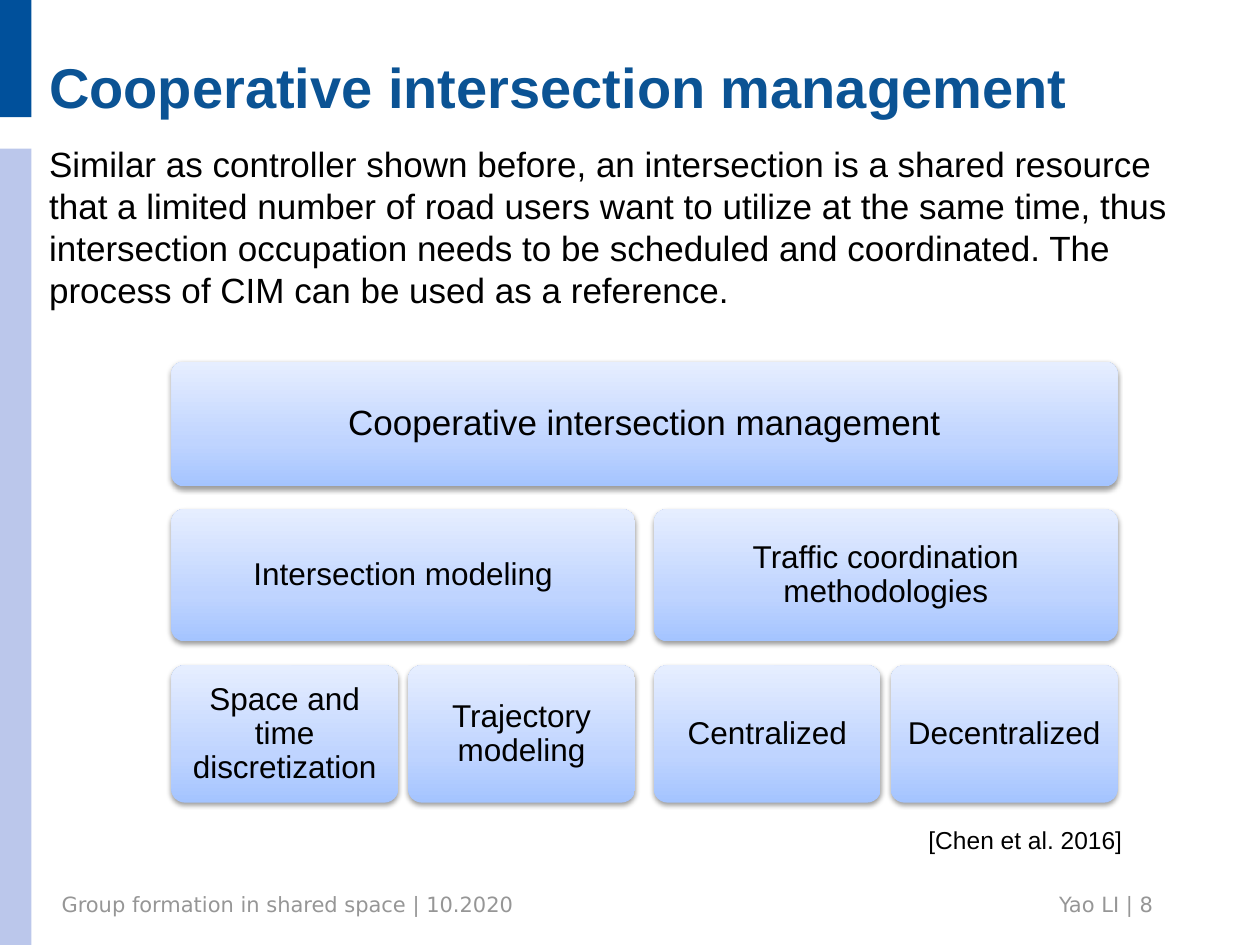
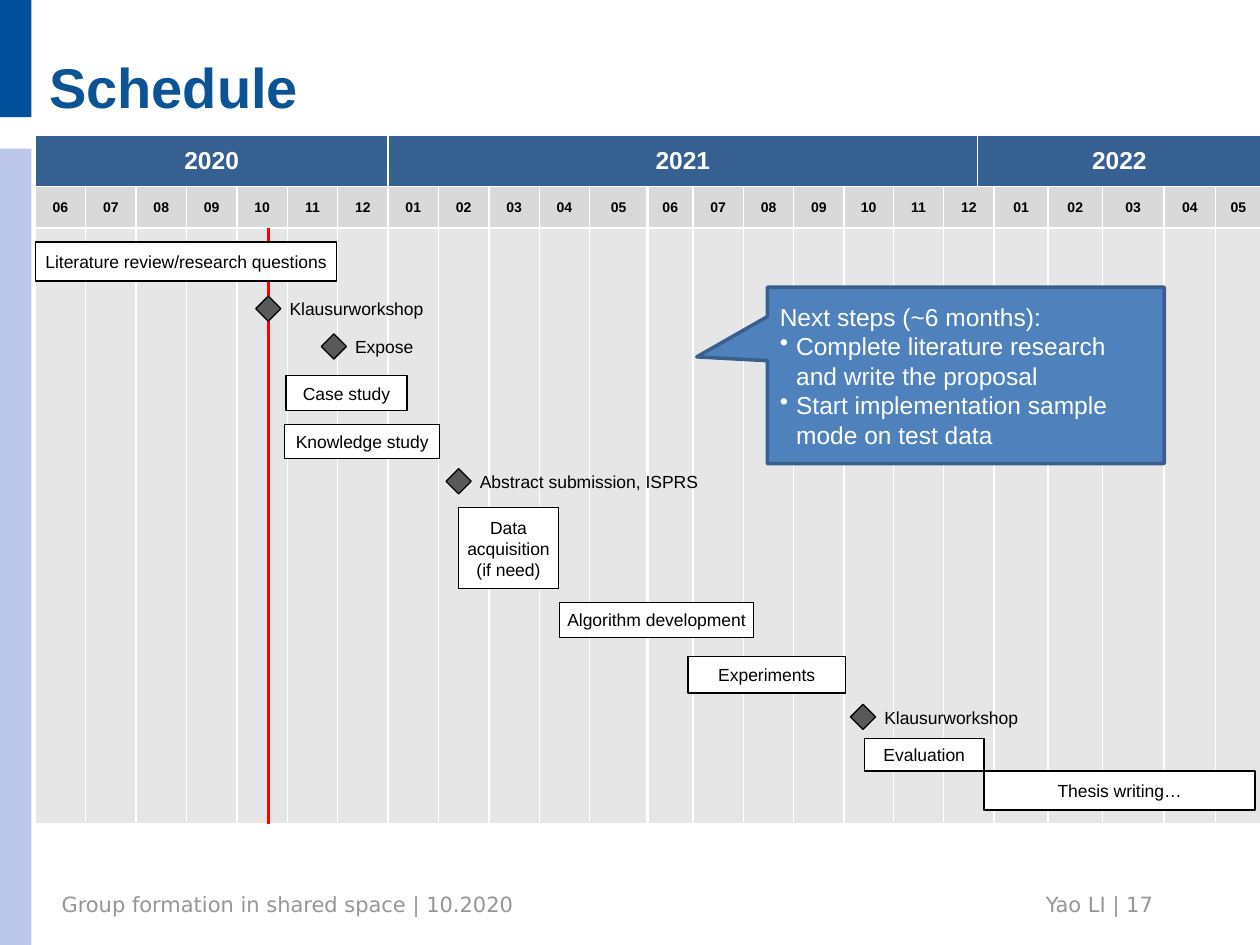
from copy import deepcopy
from dataclasses import dataclass
from itertools import accumulate
from typing import Any, NamedTuple

from lxml import etree
from pptx import Presentation
from pptx import util as u
from pptx.dml.color import RGBColor
from pptx.enum import shapes, text
from pptx.oxml import ns

SHAPE = shapes.MSO_SHAPE
ALIGN = text.PP_ALIGN
ANCHOR = text.MSO_ANCHOR


# Theme: colours, fonts and type sizes
@dataclass(frozen=True)
class Theme:
    font: str = "Arial"
    footer_font: str = "DejaVu Sans"
    title: str = "0B5394"
    ink: str = "000000"
    white: str = "FFFFFF"
    footer: str = "969696"
    band_dark: str = "00509B"
    band_light: str = "BBC7EB"
    box_stops: tuple = ((0, "A4C4FF"), (0.35, "BFD4FF"), (1, "E6EEFF"))
    year: str = "376092"
    month: str = "D9D9D9"
    grid: str = "E6E6E6"
    today: str = "FF0000"
    milestone: str = "595959"
    callout: str = "4F81BD"
    callout_line: str = "3A5F8C"
    title_pt: int = 32
    body_pt: int = 20
    box_pt: int = 18
    note_pt: int = 14
    footer_pt: int = 12
    task_pt: int = 10
    month_pt: int = 8


T = Theme()


class Area(NamedTuple):
    left: float
    top: float
    width: float
    height: float

    def emu(self) -> list[int]:
        return [u.Inches(v) for v in self]


class Node(NamedTuple):
    label: str
    area: Area
    size: int


class Task(NamedTuple):
    label: str
    area: Area


class Milestone(NamedTuple):
    label: str
    left: float
    top: float
    label_width: float


# Shared helpers
def rgb(value: str) -> RGBColor:
    return RGBColor.from_string(value)


def apply(target: Any, formats: dict[str, Any]) -> None:
    for name, value in formats.items():
        setattr(target, name, value)


def margins(x: float, y: float) -> dict[str, int]:
    return {"margin_left": u.Inches(x), "margin_right": u.Inches(x),
            "margin_top": u.Inches(y), "margin_bottom": u.Inches(y)}


def add_bullet(p: Any, indent: float) -> None:
    pPr = p._p.get_or_add_pPr()
    pPr.set("marL", str(u.Inches(indent)))
    pPr.set("indent", str(-u.Inches(indent)))
    etree.SubElement(pPr, ns.qn("a:buChar")).set("char", "•")


def write(tf: Any, words: str, size: int, color: str = T.ink, font: str = T.font,
          bold: bool = False, frame: dict | None = None, para: dict | None = None) -> None:
    apply(tf, {"word_wrap": True, **(frame or {})})
    p = tf.paragraphs[0]
    apply(p, para or {})
    r = p.add_run()
    r.text = words
    apply(r.font, {"name": font, "size": u.Pt(size), "bold": bold})
    r.font.color.rgb = rgb(color)


def add_text(s: Any, area: Area, words: str, size: int, **style: Any) -> None:
    write(s.shapes.add_textbox(*area.emu()).text_frame, words, size, **style)


def add_shape(s: Any, kind: Any, area: Area, fill: str | None = None,
              line: str | None = None, weight: float = 0.75) -> Any:
    sp = s.shapes.add_shape(kind, *area.emu())
    sp.shadow.inherit = False
    if fill:
        sp.fill.solid()
        sp.fill.fore_color.rgb = rgb(fill)
    if line:
        sp.line.color.rgb = rgb(line)
        sp.line.width = u.Pt(weight)
    else:
        sp.line.fill.background()
    return sp


def new_slide(prs: Any, title: str, number: int) -> Any:
    s = prs.slides.add_slide(prs.slide_layouts[5])
    # Side bands and footer
    add_shape(s, SHAPE.RECTANGLE, Area(0, 1.18, 0.25, 6.32), T.band_light)
    add_shape(s, SHAPE.RECTANGLE, Area(0, 0, 0.25, 0.93), T.band_dark)
    footer = {"size": T.footer_pt, "color": T.footer, "font": T.footer_font}
    add_text(s, Area(0.39, 7.03, 5.72, 0.32),
             "Group formation in shared space | 10.2020", **footer)
    add_text(s, Area(6.18, 7.03, 3.07, 0.32), f"Yao LI | {number}",
             para={"alignment": ALIGN.RIGHT}, **footer)
    # Title
    sp = s.shapes.title
    apply(sp, dict(zip(("left", "top", "width", "height"),
                       Area(0.39, -0.07, 9.26, 1.02).emu())))
    write(sp.text_frame, title, T.title_pt, T.title, bold=True,
          frame={"vertical_anchor": ANCHOR.BOTTOM,
                 "auto_size": text.MSO_AUTO_SIZE.NONE, **margins(0, 0)},
          para={"alignment": ALIGN.LEFT})
    return s


# Slide: hierarchy of cooperative intersection management
TREE_LEFT, LEAF_W, LEAF_GAP, BRANCH_GAP = 1.36, 1.8, 0.08, 0.15
BRANCH_W = 2 * LEAF_W + LEAF_GAP
TREE = {
    "Intersection modeling": ("Space and time discretization", "Trajectory modeling"),
    "Traffic coordination methodologies": ("Centralized", "Decentralized"),
}


def tree_nodes() -> list[Node]:
    nodes = [Node("Cooperative intersection management",
                  Area(TREE_LEFT, 2.87, 2 * BRANCH_W + BRANCH_GAP, 0.99), T.body_pt)]
    for i, (branch, leaves) in enumerate(TREE.items()):
        left = TREE_LEFT + i * (BRANCH_W + BRANCH_GAP)
        nodes.append(Node(branch, Area(left, 4.04, BRANCH_W, 1.05), T.box_pt))
        for j, leaf in enumerate(leaves):
            x = left + j * (LEAF_W + LEAF_GAP)
            nodes.append(Node(leaf, Area(x, 5.28, LEAF_W, 1.09), T.box_pt))
    return nodes


def add_node(s: Any, node: Node) -> None:
    sp = add_shape(s, SHAPE.ROUNDED_RECTANGLE, node.area)
    sp.adjustments[0] = 0.1
    # Three-stop gradient, running upwards
    sp.fill.gradient()
    sp.fill.gradient_angle = 90
    stops = sp._element.spPr.find(".//" + ns.qn("a:gsLst"))
    stops.append(deepcopy(stops[0]))
    for stop, (position, color) in zip(sp.fill.gradient_stops, T.box_stops):
        stop.position = position
        stop.color.rgb = rgb(color)
    # Soft shadow below
    effects = sp._element.spPr.find(ns.qn("a:effectLst"))
    shadow = etree.SubElement(effects, ns.qn("a:outerShdw"), blurRad=str(u.Pt(3.1)),
                              dist=str(u.Pt(1.6)), dir="5400000", rotWithShape="0")
    color = etree.SubElement(shadow, ns.qn("a:srgbClr"), val=T.ink)
    etree.SubElement(color, ns.qn("a:alpha"), val="38000")
    write(sp.text_frame, node.label, node.size,
          frame={"vertical_anchor": ANCHOR.MIDDLE, **margins(0.1, 0.1)},
          para={"alignment": ALIGN.CENTER, "line_spacing": 0.9})


def management_slide(prs: Any) -> None:
    s = new_slide(prs, "Cooperative intersection management", 8)
    add_text(s, Area(0.39, 1.13, 9.26, 1.72),
             "Similar as controller shown before, an intersection is a shared resource "
             "that a limited number of road users want to utilize at the same time, thus "
             "intersection occupation needs to be scheduled and coordinated. The process "
             "of CIM can be used as a reference.", T.body_pt, frame=margins(0, 0))
    for node in tree_nodes():
        add_node(s, node)
    add_text(s, Area(7.27, 6.5, 1.75, 0.34), "[Chen et al. 2016]", T.note_pt,
             frame={"word_wrap": False})


# Slide: schedule
COLS = [0.4] * 11 + [0.46, 0.36] + [0.4] * 3 + [0.39, 0.4, 0.27, 0.13,
                                                0.43, 0.43, 0.49, 0.41, 0.36]
ROWS = [0.41, 0.33, 4.73]
YEAR_SPANS = {"2020": 7, "2021": 12, "2022": 6}
MONTH_SPANS = [2 if i == 18 else 1 for i in range(24)]  # 12/2021 covers two columns
MONTHS = [f"{(5 + i) % 12 + 1:02d}" for i in range(24)]
HEAVY_EDGES = {(0, 7), (1, 12), (2, 12)}  # row, column edge
TASKS = [
    Task("Literature review/research questions", Area(0.28, 1.92, 2.39, 0.31)),
    Task("Case study", Area(2.27, 2.98, 0.96, 0.28)),
    Task("Knowledge study", Area(2.26, 3.37, 1.23, 0.27)),
    Task("Data acquisition (if need)", Area(3.64, 4.03, 0.79, 0.64)),
    Task("Algorithm development", Area(4.44, 4.78, 1.54, 0.28)),
    Task("Experiments", Area(5.46, 5.21, 1.25, 0.29)),
    Task("Evaluation", Area(6.86, 5.86, 0.95, 0.26)),
    Task("Thesis writing…", Area(7.81, 6.12, 2.15, 0.31)),
]
MILESTONES = [
    Milestone("Klausurworkshop", 2.03, 2.35, 1.27),
    Milestone("Expose", 2.55, 2.65, 0.67),
    Milestone("Abstract submission, ISPRS", 3.54, 3.72, 1.95),
    Milestone("Klausurworkshop", 6.75, 5.59, 1.27),
]
NEXT_STEPS = ["Next steps (~6 months):",
              "Complete literature research and write the proposal",
              "Start implementation sample mode on test data"]


def add_borders(cell: Any, widths: dict[str, float]) -> None:
    tcPr = cell._tc.get_or_add_tcPr()
    for i, (side, width) in enumerate(widths.items()):
        ln = etree.Element(ns.qn(f"a:ln{side}"), w=str(u.Pt(width)))
        fill = etree.SubElement(ln, ns.qn("a:solidFill"))
        etree.SubElement(fill, ns.qn("a:srgbClr"), val=T.white)
        tcPr.insert(i, ln)


def add_calendar(s: Any) -> None:
    area = Area(0.28, 1.07, sum(COLS), sum(ROWS))
    table = s.shapes.add_table(len(ROWS), len(COLS), *area.emu()).table
    apply(table, {"first_row": False, "horz_banding": False})
    for col, width in zip(table.columns, COLS):
        col.width = u.Inches(width)
    for row, height in zip(table.rows, ROWS):
        row.height = u.Inches(height)
    bands = [
        (list(YEAR_SPANS), list(YEAR_SPANS.values()), T.year, T.white, T.note_pt),
        (MONTHS, MONTH_SPANS, T.month, T.ink, T.month_pt),
        ([""] * len(MONTHS), MONTH_SPANS, T.grid, T.ink, T.month_pt),
    ]
    for row, (labels, spans, fill, color, size) in enumerate(bands):
        starts = accumulate(spans, initial=0)
        for label, start, span in zip(labels, starts, spans):
            cell = table.cell(row, start)
            if span > 1:
                cell.merge(table.cell(row, start + span - 1))
            cell.fill.solid()
            cell.fill.fore_color.rgb = rgb(fill)
            left, right = (1.5 if (row, edge) in HEAVY_EDGES else 1
                           for edge in (start, start + span))
            add_borders(cell, {"L": left, "R": right, "T": 1, "B": 1})
            cell.vertical_anchor = ANCHOR.MIDDLE
            if label:
                write(cell.text_frame, label, size, color, bold=True,
                      para={"alignment": ALIGN.CENTER})


def add_callout(s: Any) -> None:
    sp = add_shape(s, SHAPE.RECTANGULAR_CALLOUT, Area(6.09, 2.28, 3.15, 1.4),
                   T.callout, T.callout_line, 2)
    sp.adjustments[0], sp.adjustments[1] = -0.678, -0.105
    tf = sp.text_frame
    apply(tf, {"word_wrap": True, "vertical_anchor": ANCHOR.MIDDLE})
    for i, step in enumerate(NEXT_STEPS):
        p = tf.add_paragraph() if i else tf.paragraphs[0]
        p.alignment = ALIGN.LEFT
        if i:
            add_bullet(p, 0.13)
        r = p.add_run()
        r.text = step
        apply(r.font, {"name": T.font, "size": u.Pt(T.note_pt)})
        r.font.color.rgb = rgb(T.white)


def schedule_slide(prs: Any) -> None:
    s = new_slide(prs, "Schedule", 17)
    add_calendar(s)
    # Today line
    x = u.Inches(2.13)
    today = s.shapes.add_connector(shapes.MSO_CONNECTOR.STRAIGHT,
                                   x, u.Inches(1.81), x, u.Inches(6.54))
    today.line.color.rgb = rgb(T.today)
    today.line.width = u.Pt(1.5)
    etree.SubElement(today._element.spPr, ns.qn("a:effectLst"))
    # Task bars
    for task in TASKS:
        sp = add_shape(s, SHAPE.RECTANGLE, task.area, T.white, T.ink)
        write(sp.text_frame, task.label, T.task_pt,
              frame={"vertical_anchor": ANCHOR.MIDDLE, **margins(0.04, 0.05)},
              para={"alignment": ALIGN.CENTER})
    # Milestones with labels
    for m in MILESTONES:
        add_shape(s, SHAPE.DIAMOND, Area(m.left, m.top, 0.2, 0.2), T.milestone, T.ink)
        add_text(s, Area(m.left + 0.17, m.top - 0.03, m.label_width, 0.27), m.label,
                 T.task_pt, frame={"word_wrap": False})
    add_callout(s)


def main() -> None:
    prs = Presentation()
    prs.slide_width, prs.slide_height = u.Inches(10), u.Inches(7.5)
    management_slide(prs)
    schedule_slide(prs)
    prs.save("out.pptx")


if __name__ == "__main__":
    main()
